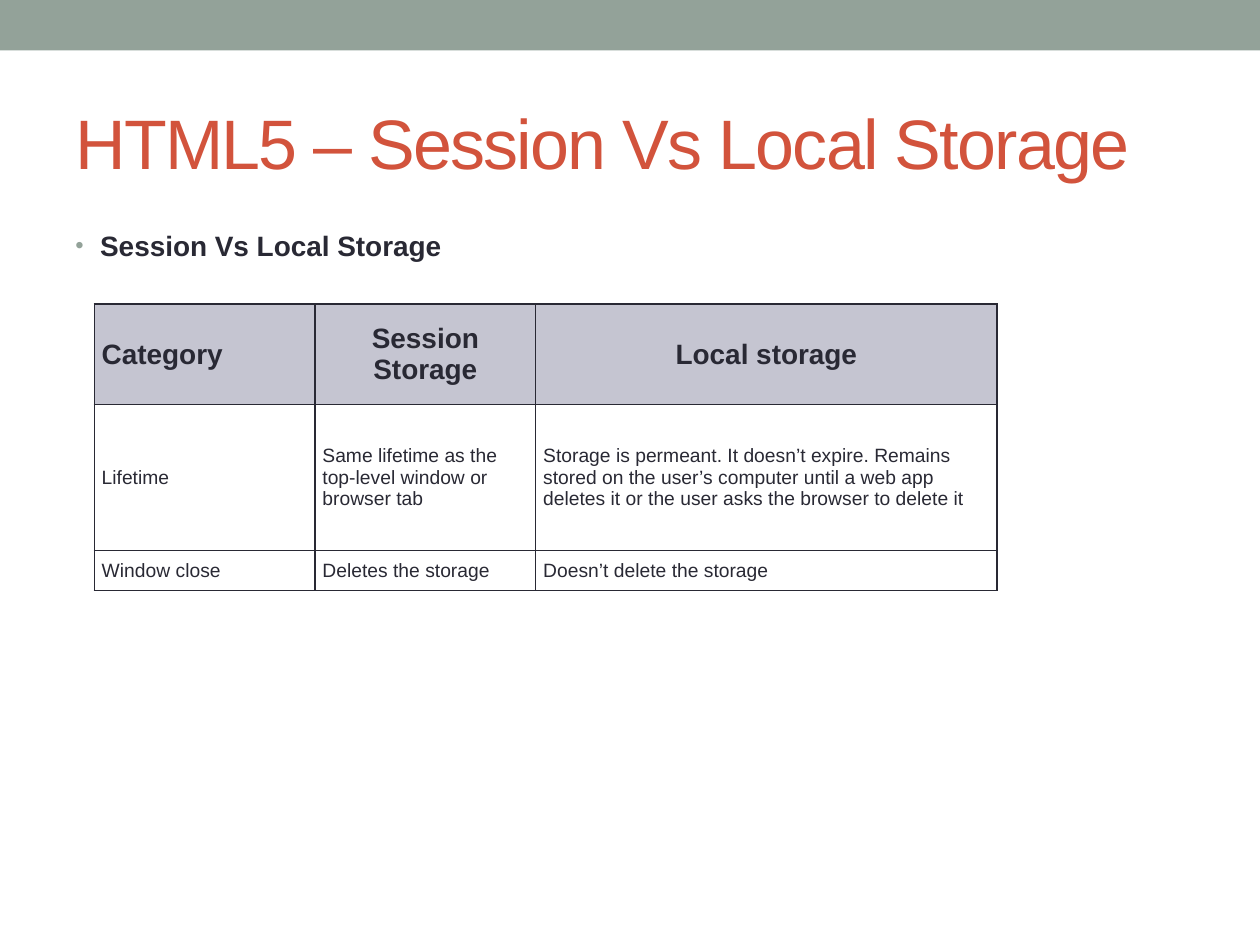
from dataclasses import dataclass

from lxml.etree import SubElement
from pptx import Presentation
from pptx.dml.color import RGBColor
from pptx.enum.shapes import MSO_SHAPE as Shape
from pptx.enum.text import MSO_ANCHOR as Anchor, PP_ALIGN as Align
from pptx.oxml.ns import qn
from pptx.util import Cm, Pt


@dataclass(frozen=True)
class Theme:
    """Colours, type sizes and font of the slide."""
    band: str = "93A299"
    title: str = "D2533C"
    ink: str = "292934"
    header: str = "C5C5D1"
    font: str = "Arial"
    title_size: int = 40
    head_size: int = 16
    cell_size: int = 11


THEME = Theme()
COLUMN_WIDTHS = (4.45, 4.45, 9.3)
ROW_HEIGHTS = (2.03, 2.94, 0.8)
COMPARISON = (
    ("Category", "Session Storage", "Local storage"),
    ("Lifetime", "Same lifetime as the top-level window or browser tab",
     "Storage is permeant. It doesn’t expire. Remains stored on the user’s "
     "computer until a web app deletes it or the user asks the browser to delete it"),
    ("Window close", "Deletes the storage", "Doesn’t delete the storage"),
)


def add_bullet(paragraph, indent):
    """Give a paragraph a small coloured bullet with a hanging indent."""
    properties = paragraph._p.get_or_add_pPr()
    properties.set("marL", str(indent))
    properties.set("indent", str(-indent))
    colour = SubElement(properties, qn("a:buClr"))
    SubElement(colour, qn("a:srgbClr"), val=THEME.band)
    SubElement(properties, qn("a:buSzPct"), val="85000")
    SubElement(properties, qn("a:buFont"), typeface=THEME.font)
    SubElement(properties, qn("a:buChar"), char="•")


def write(frame, text, size, color=THEME.ink, bold=False, align=Align.LEFT,
          spacing=None, bullet_indent=None):
    """Write one formatted paragraph into a text frame."""
    frame.word_wrap = True
    paragraph = frame.paragraphs[0]
    paragraph.alignment = align
    if bullet_indent:
        add_bullet(paragraph, bullet_indent)
    run = paragraph.add_run()
    run.text = text
    run.font.name = THEME.font
    run.font.size = Pt(size)
    run.font.bold = bold
    run.font.color.rgb = RGBColor.from_string(color)
    if spacing is not None:
        run._r.get_or_add_rPr().set("spc", str(round(spacing * 100)))


def draw_band(slide, left, top, width, height):
    """Draw the plain band along the top edge."""
    band = slide.shapes.add_shape(Shape.RECTANGLE, left, top, width, height)
    band.shadow.inherit = False
    band.fill.solid()
    band.fill.fore_color.rgb = RGBColor.from_string(THEME.band)
    band.line.fill.background()


def draw_heading(slide, left, top, width, height):
    """Place the slide title, centred vertically in its box."""
    heading = slide.shapes.add_textbox(left, top, width, height).text_frame
    heading.vertical_anchor = Anchor.MIDDLE
    write(heading, "HTML5 – Session Vs Local Storage", THEME.title_size,
          THEME.title, spacing=-1)


def draw_topic(slide, left, top, width, height):
    """Place the bulleted topic line."""
    topic = slide.shapes.add_textbox(left, top, width, height).text_frame
    write(topic, "Session Vs Local Storage", THEME.head_size, bold=True,
          bullet_indent=Cm(0.5))


def outline(cell):
    """Draw a thin line on all four sides of a cell."""
    properties = cell._tc.get_or_add_tcPr()
    for side in ("lnL", "lnR", "lnT", "lnB"):
        line = SubElement(properties, qn(f"a:{side}"), w=str(Pt(1)))
        fill = SubElement(line, qn("a:solidFill"))
        SubElement(fill, qn("a:srgbClr"), val=THEME.ink)


def fill_cell(cell, text, is_header, align):
    """Format one table cell and write its text."""
    cell.margin_left = cell.margin_right = Cm(0.15)
    cell.margin_top = cell.margin_bottom = Cm(0.08)
    cell.vertical_anchor = Anchor.MIDDLE
    outline(cell)
    if is_header:
        cell.fill.solid()
        cell.fill.fore_color.rgb = RGBColor.from_string(THEME.header)
    else:
        cell.fill.background()
    size = THEME.head_size if is_header else THEME.cell_size
    write(cell.text_frame, text, size, bold=is_header, align=align)


def draw_comparison(slide, left, top):
    """Build the storage comparison table from its column and row sizes."""
    table = slide.shapes.add_table(
        len(ROW_HEIGHTS), len(COLUMN_WIDTHS), left, top,
        Cm(sum(COLUMN_WIDTHS)), Cm(sum(ROW_HEIGHTS))).table
    for column, width in zip(table.columns, COLUMN_WIDTHS):
        column.width = Cm(width)
    for r, (height, texts) in enumerate(zip(ROW_HEIGHTS, COMPARISON)):
        table.rows[r].height = Cm(height)
        for c, text in enumerate(texts):
            align = Align.CENTER if r == 0 and c > 0 else Align.LEFT
            fill_cell(table.cell(r, c), text, r == 0, align)


def main():
    """Build and save the slide."""
    deck = Presentation()
    deck.slide_width, deck.slide_height = Cm(25.4), Cm(19.05)
    slide = deck.slides.add_slide(deck.slide_layouts[6])
    draw_band(slide, 0, 0, deck.slide_width, Cm(1.02))
    margin = Cm(1.27)
    content_width = deck.slide_width - 2 * margin
    draw_heading(slide, margin, Cm(1.48), content_width, Cm(2.75))
    draw_topic(slide, margin, Cm(4.48), content_width, Cm(13.5))
    draw_comparison(slide, Cm(1.9), Cm(6.13))
    deck.save("out.pptx")


if __name__ == "__main__":
    main()
